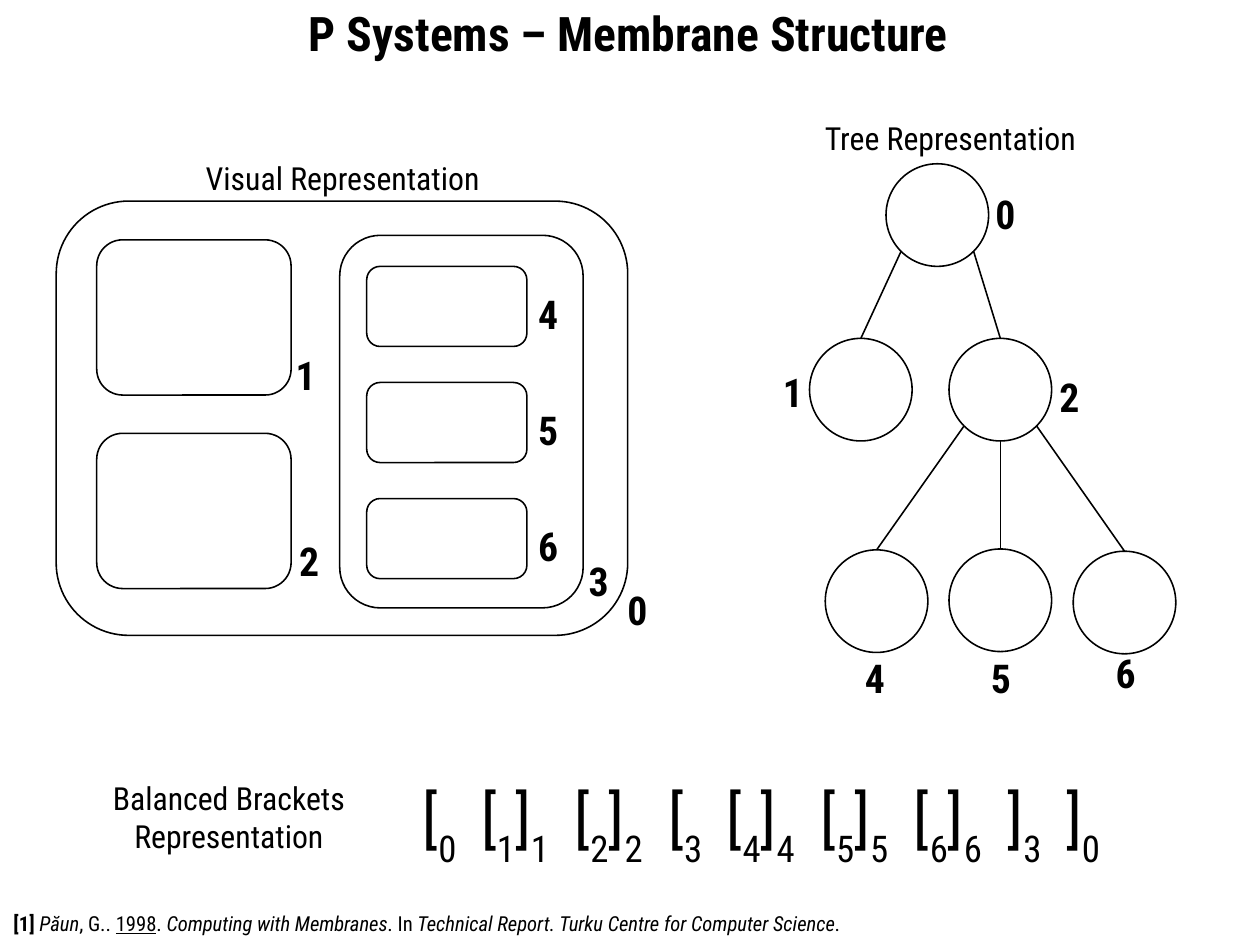
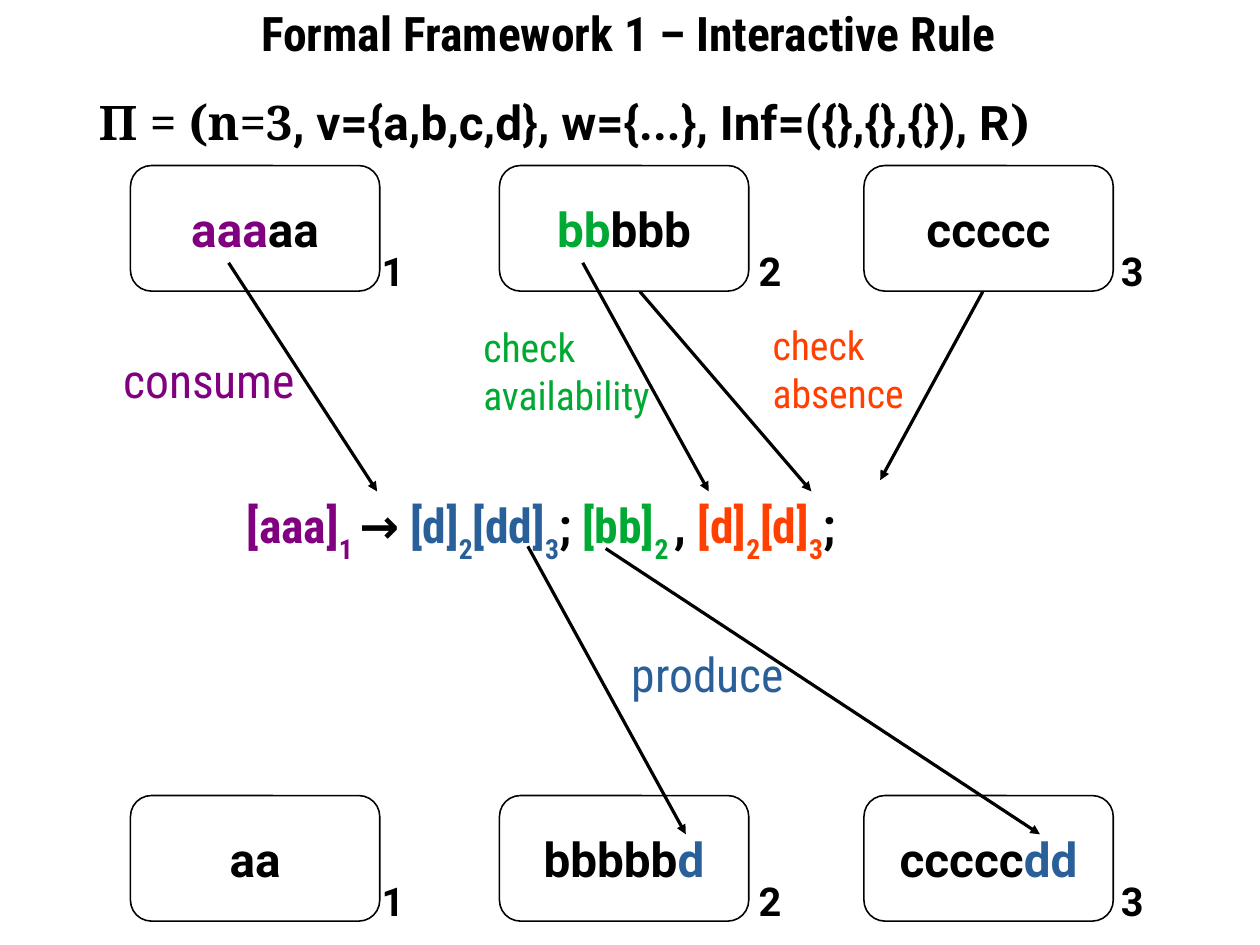
from math import sqrt

from lxml.etree import SubElement as Sub
from pptx import Presentation
from pptx.dml.color import RGBColor as RGB
from pptx.enum.shapes import MSO_CONNECTOR as Link, MSO_SHAPE as Kind
from pptx.enum.text import MSO_ANCHOR as Anchor, PP_ALIGN as Align
from pptx.oxml.ns import qn
from pptx.util import Emu, Pt

# Slide grid: 28 columns by 21 rows of square cells
COLS, ROWS = 28, 21
CELL = 360000

BLACK = RGB(0x00, 0x00, 0x00)
PURPLE = RGB(0x80, 0x00, 0x80)
GREEN = RGB(0x00, 0xA9, 0x33)
BLUE = RGB(0x2A, 0x60, 0x99)
ORANGE = RGB(0xFF, 0x40, 0x00)

SANS, COND, SERIF = "Roboto", "Roboto Condensed", "Noto Serif"
BIG, MID, SMALL, NOTE = 30, 25, 20, 13


def grid(*cells):
    """Turn grid cells into slide lengths."""
    return [Emu(round(n * CELL)) for n in cells]


# Text: a run is (text, colour, marks); marks are b, i, u and s for subscript
def write(par, runs, size, font):
    for text, color, marks, *other in runs:
        run = par.add_run()
        run.text = text
        face = run.font
        face.name = other[0] if other else font
        face.size = Pt(size)
        face.color.rgb = color
        face.bold = "b" in marks
        face.italic = "i" in marks
        face.underline = "u" in marks
        if "s" in marks:
            run._r.get_or_add_rPr().set("baseline", "-33000")


def text(slide, x, y, w, h, lines, size, font=COND, align=Align.LEFT):
    box = slide.shapes.add_textbox(*grid(x, y, w, h))
    frame = box.text_frame
    frame.word_wrap = True
    for i, runs in enumerate(lines):
        par = frame.paragraphs[0] if i == 0 else frame.add_paragraph()
        par.alignment = align
        write(par, runs, size, font)
    return frame


def plain(slide, x, y, w, h, words, size, color=BLACK, align=Align.LEFT):
    lines = [[(line, color, "")] for line in words.split("\n")]
    return text(slide, x, y, w, h, lines, size, align=align)


def label(slide, x, y, name, font=COND):
    text(slide, x, y, 1, 1.42, [[(name, BLACK, "b")]], MID, font)


def title(slide, words):
    frame = text(slide, 0, 0.03, 27.94, 1.4, [[(words, BLACK, "b")]], BIG,
                 align=Align.CENTER)
    frame.vertical_anchor = Anchor.MIDDLE
    frame.margin_left = frame.margin_right = 0
    frame.margin_top = frame.margin_bottom = 0


# Outlines and lines
def shape(slide, kind, x, y, w, h):
    item = slide.shapes.add_shape(kind, *grid(x, y, w, h))
    item.shadow.inherit = False
    item.fill.background()
    item.line.color.rgb = BLACK
    item.line.width = Pt(1)
    return item


def cell(slide, x, y, w, h, runs=()):
    item = shape(slide, Kind.ROUNDED_RECTANGLE, x, y, w, h)
    item.adjustments[0] = 0.167
    par = item.text_frame.paragraphs[0]
    par.alignment = Align.CENTER
    item.text_frame.vertical_anchor = Anchor.MIDDLE
    write(par, runs, BIG, SANS)


def link(slide, start, end, width=1, head=False):
    item = slide.shapes.add_connector(Link.STRAIGHT, *grid(*start, *end))
    item.line.color.rgb = BLACK
    item.line.width = Pt(width)
    if head:
        Sub(item.line._get_or_add_ln(), qn("a:tailEnd"), type="triangle")
    Sub(item._element.spPr, qn("a:effectLst"))


# Slide 1 parts
def visual(slide):
    plain(slide, 4.32, 3.4, 7.4, 1.2, "Visual Representation", SMALL)
    cell(slide, 1.25, 4.47, 12.7, 9.65)
    cell(slide, 7.55, 5.23, 5.41, 8.28)
    for i in range(2):
        cell(slide, 2.15, 5.33 + 4.3 * i, 4.32, 3.45)
    for i in range(3):
        top = 5.92 + 2.58 * i
        cell(slide, 8.15, top, 3.56, 1.78)
        label(slide, 11.71, top + 0.4, str(4 + i))
    for name, x, y in (("0", 13.69, 12.9), ("1", 6.32, 7.67),
                       ("2", 6.4, 11.81), ("3", 12.83, 12.24)):
        label(slide, x, y, name)


def tree(slide):
    plain(slide, 18.08, 2.51, 6.9, 1.2, "Tree Representation", SMALL)
    rad = 1.14
    # name: centre, then place of its label
    nodes = {
        "0": (20.83, 4.78, 21.87, 4.09),
        "1": (19.13, 8.66, 17.15, 8.05),
        "2": (22.23, 8.66, 23.29, 8.15),
        "4": (19.48, 13.36, 18.97, 14.4),
        "5": (22.23, 13.34, 21.77, 14.4),
        "6": (24.99, 13.39, 24.54, 14.3),
    }
    for name, (x, y, left, top) in nodes.items():
        shape(slide, Kind.OVAL, x - rad, y - rad, 2 * rad, 2 * rad)
        label(slide, left, top, name)
    # side: -1 leaves the parent at lower left, 0 below, 1 at lower right
    for up, down, side in (("0", "1", -1), ("0", "2", 1), ("2", "4", -1),
                           ("2", "5", 0), ("2", "6", 1)):
        x, y = nodes[up][:2]
        diag = rad / sqrt(2)
        start = (x + side * diag, y + (diag if side else rad))
        link(slide, start, (nodes[down][0], nodes[down][1] - rad))


def tokens(slide):
    plain(slide, 1.9, 17.17, 6.38, 2.1, "Balanced Brackets\nRepresentation",
          SMALL, align=Align.CENTER)
    groups = "[0 [1]1 [2]2 [3 [4]4 [5]5 [6]6 ]3 ]0".split()
    runs, stops, pos = [], [], 0
    for i, group in enumerate(groups):
        if i:
            runs.append(("\t", BLACK, ""))
            stops.append(pos)
        runs += [(c, BLACK, "s" if c.isdigit() else "") for c in group]
        pos += 1.3 if len(group) == 2 else 2.08
    frame = text(slide, 9.14, 17.17, 17.86, 2.41, [runs], 40)
    tabs = Sub(frame.paragraphs[0]._p.get_or_add_pPr(), qn("a:tabLst"))
    for stop in stops:
        Sub(tabs, qn("a:tab"), pos=str(grid(stop)[0]), algn="l")


def cite(slide):
    parts = (("[1] ", "b"), ("Păun", "i"), (", G.. ", ""), ("1998", "u"),
             (". ", ""), ("Computing with Membranes", "i"), (". In ", ""),
             ("Technical Report. Turku Centre for Computer Science", "i"),
             (".", ""))
    runs = [(words, BLACK, marks) for words, marks in parts]
    text(slide, 0.05, 20.12, 22, 0.85, [runs], NOTE)


# Slide 2 parts
def state(slide, top, texts):
    spots = ((2.9, 8.23), (11.1, 16.61), (19.2, 24.66))
    for i, ((x, side), parts) in enumerate(zip(spots, texts), 1):
        runs = [(words, color, "b") for words, color in parts]
        cell(slide, x, top, 5.54, 2.79, runs)
        label(slide, side, top + 1.68, str(i), SANS)


def rule(slide):
    text(slide, 1.95, 1.95, 24.1, 1.7, [[
        ("Π = (n=3", BLACK, "b", SERIF),
        (", v={a,b,c,d}, w={...}, Inf=({},{},{}), R", BLACK, "b", SANS),
        (")", BLACK, "b", SERIF)]], BIG)
    text(slide, 5.23, 10.9, 17.5, 1.73, [[
        ("[aaa]", PURPLE, "b"), ("1 ", PURPLE, "bs"), ("→ ", BLACK, "b"),
        ("[d]", BLUE, "b"), ("2", BLUE, "bs"),
        ("[dd]", BLUE, "b"), ("3", BLUE, "bs"), ("; ", BLACK, "b"),
        ("[bb]", GREEN, "b"), ("2 ", GREEN, "bs"), (", ", BLACK, "b"),
        ("[d]", ORANGE, "b"), ("2", ORANGE, "bs"),
        ("[d]", ORANGE, "b"), ("3", ORANGE, "bs"), (";", BLACK, "b")]], BIG)


def steps(slide):
    for start, end in (((5.08, 5.84), (8.38, 10.92)),
                       ((12.95, 5.84), (15.75, 10.92)),
                       ((14.22, 6.48), (18.03, 10.92)),
                       ((21.84, 6.48), (19.56, 10.67)),
                       ((11.73, 12.14), (15.24, 18.54)),
                       ((13.46, 12.19), (23.11, 18.54))):
        link(slide, start, end, 0, True)
    for x, y, words, size, color in (
            (2.49, 7.67, "consume", BIG, PURPLE),
            (13.79, 14.2, "produce", BIG, BLUE),
            (10.49, 7.06, "check\navailability", MID, GREEN),
            (16.92, 7.01, "check\nabsence", MID, ORANGE)):
        plain(slide, x, y, 5.4, 2.4, words, size, color)


def main():
    deck = Presentation()
    deck.slide_width, deck.slide_height = grid(COLS, ROWS)
    blank = deck.slide_layouts[6]

    slide = deck.slides.add_slide(blank)
    title(slide, "P Systems – Membrane Structure")
    visual(slide)
    tree(slide)
    tokens(slide)
    cite(slide)

    slide = deck.slides.add_slide(blank)
    title(slide, "Formal Framework 1 – Interactive Rule")
    state(slide, 3.68, ([("aaa", PURPLE), ("aa", BLACK)],
                        [("bb", GREEN), ("bbb", BLACK)],
                        [("ccccc", BLACK)]))
    rule(slide)
    state(slide, 17.68, ([("aa", BLACK)],
                         [("bbbbb", BLACK), ("d", BLUE)],
                         [("ccccc", BLACK), ("dd", BLUE)]))
    steps(slide)
    deck.save("out.pptx")


if __name__ == "__main__":
    main()
